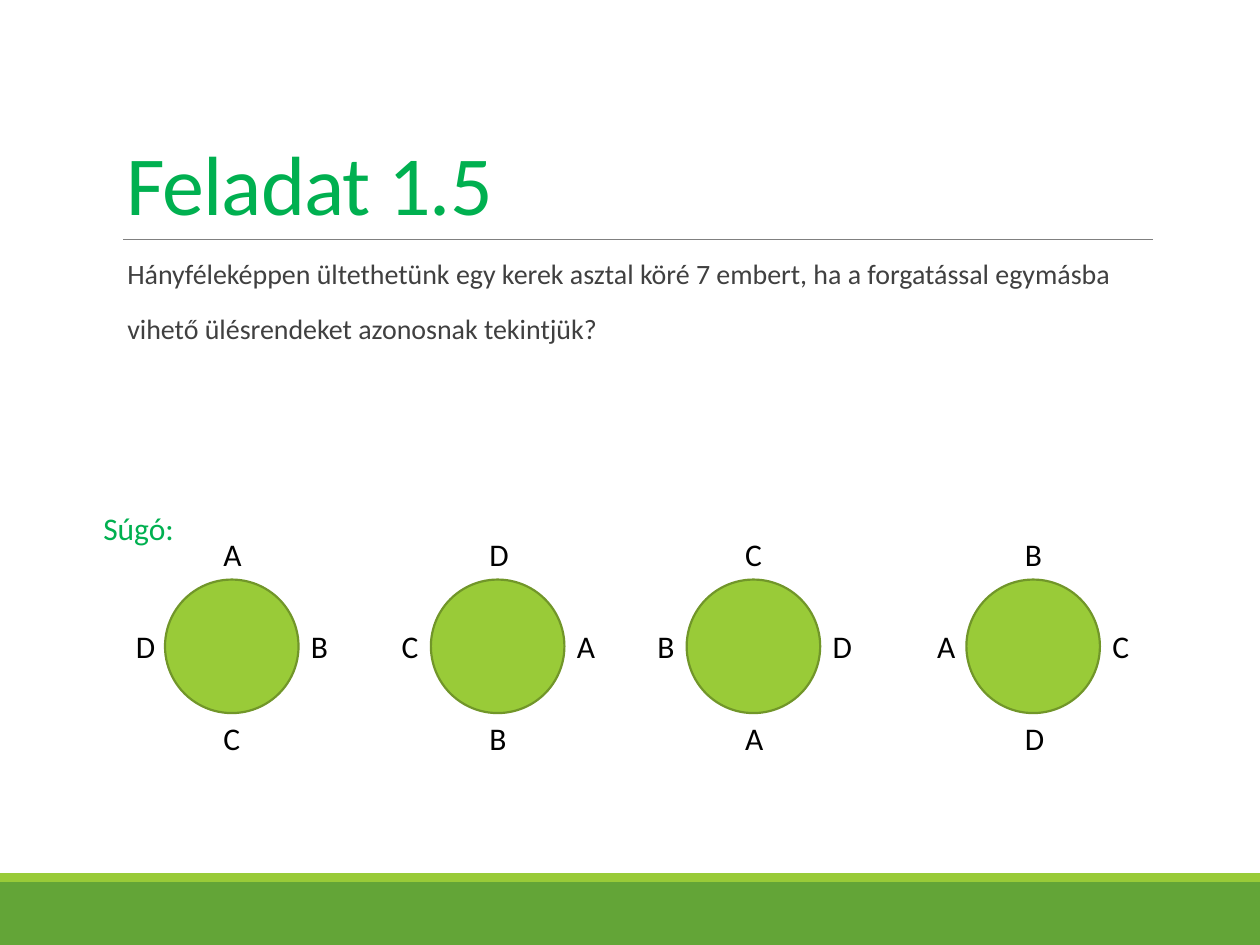
from pptx import Presentation
from pptx.dml.color import RGBColor
from pptx.enum.shapes import MSO_CONNECTOR as Connector, MSO_SHAPE as Shape
from pptx.enum.text import MSO_ANCHOR as Anchor, MSO_AUTO_SIZE as AutoSize, PP_ALIGN as Align
from pptx.oxml.ns import qn
from pptx.util import Inches, Pt
from lxml.etree import SubElement

WIDTH, HEIGHT = 10, 7.5
GREEN, LIME, LIME_EDGE, FOREST = "00B050", "99CB38", "719629", "63A537"
TABLE_LEFTS = [1.31, 3.42, 5.45, 7.67]
TABLE_TOP, TABLE_SIZE = 4.6, 1.06
LABEL_WIDTH, LABEL_HEIGHT = 0.33, 0.4
SEATS = "ABCD"
QUESTION = [
    "Hányféleképpen ültethetünk egy kerek asztal köré 7 embert, ha a forgatással egymásba",
    "vihető ülésrendeket azonosnak tekintjük?",
]


def color(value):
    """Return the colour for a hex string."""
    return RGBColor.from_string(value)


def apply(target, **values):
    """Set every given attribute on the target."""
    for name, value in values.items():
        setattr(target, name, value)


def inches(*lengths):
    """Convert lengths in inches to slide units."""
    return [Inches(length) for length in lengths]


def style_font(paragraph, size, value):
    """Format the text of a paragraph."""
    apply(paragraph.font, name="Calibri", size=Pt(size))
    paragraph.font.color.rgb = color(value)


def add_filled(shapes, kind, box, fill, edge=None):
    """Add a preset shape with a flat fill and an optional outline."""
    shape = shapes.add_shape(kind, *inches(*box))
    shape.shadow.inherit = False
    shape.fill.solid()
    shape.fill.fore_color.rgb = color(fill)
    if edge:
        shape.line.color.rgb = color(edge)
        shape.line.width = Pt(1.25)
    else:
        shape.line.fill.background()


def add_label(shapes, text, box, value="000000", **frame_format):
    """Add a one-line text box."""
    frame = shapes.add_textbox(*inches(*box)).text_frame
    apply(frame, **{"word_wrap": True, "auto_size": AutoSize.SHAPE_TO_FIT_TEXT, **frame_format})
    paragraph = frame.paragraphs[0]
    paragraph.text = text
    style_font(paragraph, 18, value)


def add_rule(slide, left, right, top):
    """Add the thin grey line under the title."""
    line = slide.shapes.add_connector(Connector.STRAIGHT, *inches(left, top, right, top))
    line.line.color.rgb = color("808080")
    line.line.width = Pt(0.5)
    SubElement(line._element.spPr, qn("a:effectLst"))


def format_title(slide, text, box):
    """Place and format the title placeholder."""
    title = slide.shapes.title
    apply(title, **dict(zip(("left", "top", "width", "height"), inches(*box))))
    apply(title.text_frame, text=text, vertical_anchor=Anchor.BOTTOM, word_wrap=True)
    paragraph = title.text_frame.paragraphs[0]
    apply(paragraph, alignment=Align.LEFT, line_spacing=0.85)
    style_font(paragraph, 48, GREEN)
    paragraph.runs[0].font._element.set("spc", "-50")


def add_question(slide, lines, box):
    """Add the task text with its blank bullets."""
    frame = slide.shapes.add_textbox(*inches(*box)).text_frame
    apply(frame, word_wrap=True, margin_left=0, margin_right=0)
    for index, text in enumerate(lines):
        paragraph = frame.add_paragraph() if index else frame.paragraphs[0]
        paragraph.text = text
        apply(paragraph, line_spacing=0.9, space_before=Pt(12 if index else 0), space_after=Pt(2))
        properties = paragraph._p.get_or_add_pPr()
        properties.set("marL", str(Inches(0.1)))
        properties.set("indent", str(-Inches(0.1)))
        SubElement(SubElement(properties, qn("a:buClr")), qn("a:srgbClr"), val=LIME)
        SubElement(properties, qn("a:buChar"), char=" ")
        style_font(paragraph, 16, "404040")


def add_round_table(slide, left, seats):
    """Add a table with its guests clockwise from the top."""
    shapes = slide.shapes.add_group_shape().shapes
    add_filled(shapes, Shape.OVAL, (left, TABLE_TOP, TABLE_SIZE, TABLE_SIZE), LIME, LIME_EDGE)
    middle_x = left + (TABLE_SIZE - LABEL_WIDTH) / 2
    middle_y = TABLE_TOP + (TABLE_SIZE - LABEL_HEIGHT) / 2
    corners = [
        (middle_x, TABLE_TOP - LABEL_HEIGHT),
        (left + TABLE_SIZE, middle_y),
        (middle_x, TABLE_TOP + TABLE_SIZE),
        (left - LABEL_WIDTH, middle_y),
    ]
    for seat, corner in zip(seats, corners):
        add_label(shapes, seat, (*corner, LABEL_WIDTH, LABEL_HEIGHT))


def main():
    """Build and save the slide."""
    presentation = Presentation()
    apply(presentation, slide_width=Inches(WIDTH), slide_height=Inches(HEIGHT))
    slide = presentation.slides.add_slide(presentation.slide_layouts[5])
    add_filled(slide.shapes, Shape.RECTANGLE, (0, 7, WIDTH, 0.5), FOREST)
    add_filled(slide.shapes, Shape.RECTANGLE, (0, 6.93, WIDTH, 0.07), LIME)
    add_rule(slide, 0.98, 9.15, 1.9)
    add_question(slide, QUESTION, (0.9, 2.02, 8.25, 4.4))
    format_title(slide, "Feladat 1.5", (0.9, 0.31, 8.25, 1.59))
    margins = dict.fromkeys(("margin_left", "margin_right", "margin_top", "margin_bottom"), 0)
    add_label(slide.shapes, "Súgó:", (0.82, 4.04, 0.57, 0.3), GREEN, word_wrap=False, **margins)
    for turn, left in enumerate(TABLE_LEFTS):
        add_round_table(slide, left, SEATS[-turn:] + SEATS[:-turn])
    presentation.save("out.pptx")


if __name__ == "__main__":
    main()
